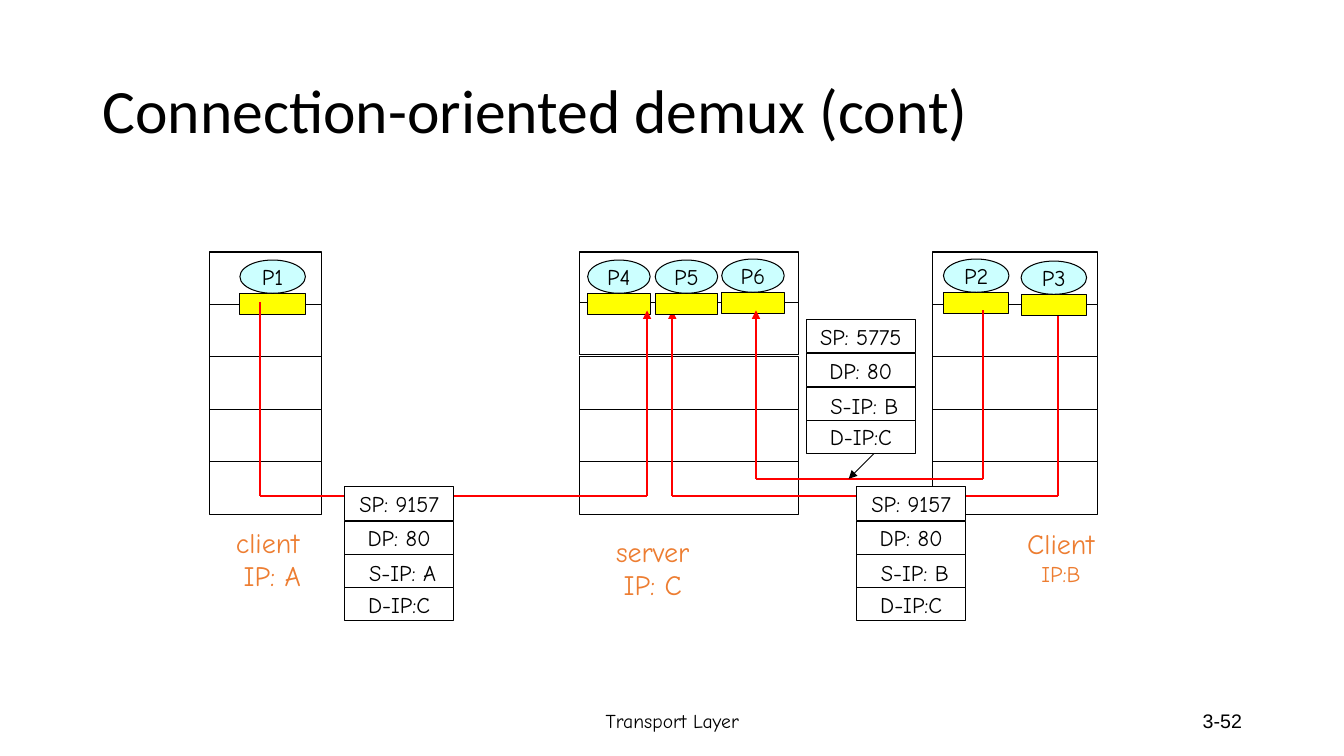
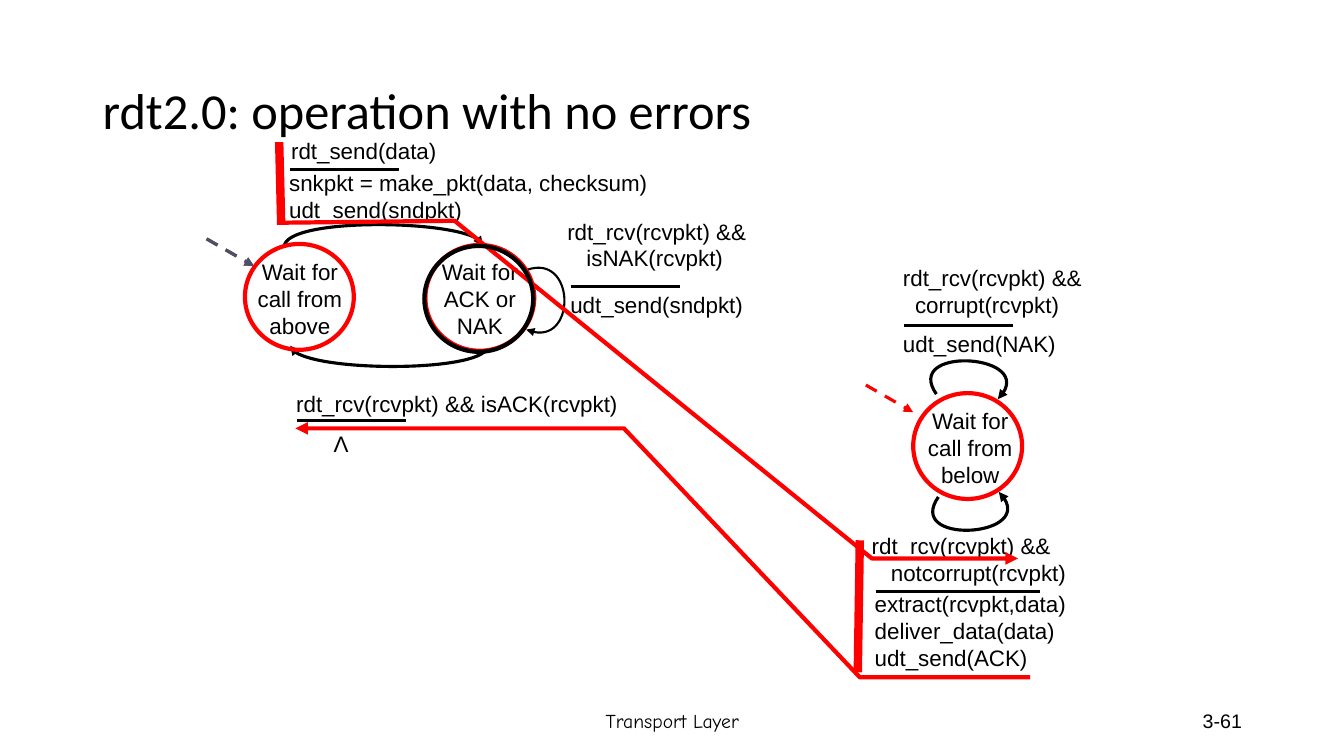
from pptx import Presentation
from pptx.dml.color import RGBColor
from pptx.enum.dml import MSO_LINE
from pptx.enum.shapes import MSO_CONNECTOR, MSO_SHAPE
from pptx.enum.text import MSO_ANCHOR, PP_ALIGN
from pptx.oxml.ns import qn
from pptx.util import Pt
from lxml.etree import SubElement

PX = 9144  # EMU per px, 100 px to the inch
COLORS = {
    "ink": "000000", "paper": "FFFFFF", "process": "CCFFFF", "socket": "FFFF00",
    "host": "ED7D31", "flow": "FF0000", "start": "44546A",
}
TITLE_FONT, BODY_FONT, HAND_FONT = "Calibri", "Arial", "Comic Neue"
LEFT, CENTER, RIGHT = PP_ALIGN.LEFT, PP_ALIGN.CENTER, PP_ALIGN.RIGHT
STATE_SIZE = (108, 105)
FIELD_OFFSETS = (0, 34, 67, 100)


def emu(*lengths):
    return [round(length * PX) for length in lengths]


def rgb(name):
    return RGBColor.from_string(COLORS[name])


# Text
def write(frame, lines, size, font=BODY_FONT, color="ink", align=LEFT,
          middle=False, wrap=True, indents=()):
    """Fill a text frame, one paragraph per line, with optional left indents."""
    frame.text = "\n".join(lines)
    frame.word_wrap = wrap
    frame.vertical_anchor = MSO_ANCHOR.MIDDLE if middle else MSO_ANCHOR.TOP
    for paragraph in frame.paragraphs:
        paragraph.alignment = align
        for run in paragraph.runs:
            run.font.size, run.font.name = Pt(size), font
            run.font.color.rgb = rgb(color)
    for paragraph, indent in zip(frame.paragraphs, indents):
        properties = paragraph._p.get_or_add_pPr()
        properties.set("marL", str(emu(indent)[0]))
        properties.set("indent", "0")


def label(slide, area, lines, size=16, **style):
    box = slide.shapes.add_textbox(*emu(*area))
    write(box.text_frame, lines, size, **style)
    return box.text_frame


# Shapes and lines
def block(slide, kind, area, fill=None, line="ink", width=0.75):
    shape = slide.shapes.add_shape(kind, *emu(*area))
    shape.shadow.inherit = False
    if fill:
        shape.fill.solid()
        shape.fill.fore_color.rgb = rgb(fill)
    else:
        shape.fill.background()
    shape.line.color.rgb, shape.line.width = rgb(line), Pt(width)
    return shape


def style_line(shape, color, width, arrow, dashed=False):
    shape.line.color.rgb, shape.line.width = rgb(color), Pt(width)
    if dashed:
        shape.line.dash_style = MSO_LINE.DASH
    if arrow:
        SubElement(shape.line._get_or_add_ln(), qn("a:tailEnd"), type="triangle")


def segment(slide, start, end, color="ink", width=2.25, arrow=False, dashed=False):
    line = slide.shapes.add_connector(MSO_CONNECTOR.STRAIGHT, *emu(*start, *end))
    style_line(line, color, width, arrow, dashed)
    SubElement(line._element.spPr, qn("a:effectLst"))


def route(slide, points, color="ink", width=2.25):
    """Draw an open outline through the points, with an arrow at its end."""
    first, *rest = [emu(*point) for point in points]
    builder = slide.shapes.build_freeform(*first)
    builder.add_line_segments(rest, close=False)
    outline = builder.convert_to_shape()
    outline.shadow.inherit = False
    outline.fill.background()
    style_line(outline, color, width, arrow=True)
    return outline


def curve(slide, controls, width=2.25):
    """Draw a cubic Bezier curve: its legs are merged into one curve command."""
    outline = route(slide, controls, width=width)
    legs = list(outline._element.iter(qn("a:lnTo")))
    bezier = SubElement(legs[0].getparent(), qn("a:cubicBezTo"))
    for leg in legs:
        bezier.append(leg[0])
        leg.getparent().remove(leg)


# Shared slide frame
def new_slide(deck, title, title_size, number):
    slide = deck.slides.add_slide(deck.slide_layouts[6])
    label(slide, (442, 695, 450, 40), ["Transport Layer"], 14,
          font=HAND_FONT, align=CENTER, middle=True)
    label(slide, (942, 695, 300, 40), [number], 14, align=RIGHT, middle=True)
    heading = label(slide, (92, 40, 1150, 145), [title], title_size,
                    font=TITLE_FONT, middle=True)
    heading.paragraphs[0].line_spacing = 0.9
    return slide


# Parts of the demultiplexing slide
def protocol_stack(slide, left, width, second_row=302):
    for top in (250, second_row, 354, 406, 458):
        block(slide, MSO_SHAPE.RECTANGLE, (left, top, width, 52), "paper")


def process(slide, name, left, top, width):
    block(slide, MSO_SHAPE.RECTANGLE, (left, top + 33, width, 21), "socket")
    bubble = block(slide, MSO_SHAPE.OVAL, (left, top, width, 33), "process")
    write(bubble.text_frame, [name], 16, font=HAND_FONT, align=CENTER,
          middle=True, wrap=False)


def packet(slide, left, top, source_port, source_ip):
    """Stack four header fields; the source address sits slightly off centre."""
    style = dict(size=16, font=HAND_FONT, align=CENTER, wrap=False)
    fields = (f"SP: {source_port}", "DP: 80", None, "D-IP:C")
    for offset, field in zip(FIELD_OFFSETS, fields):
        cell = block(slide, MSO_SHAPE.RECTANGLE, (left, top + offset, 108, 33), "paper")
        if field:
            write(cell.text_frame, [field], middle=True, **style)
    label(slide, (left + 9, top + FIELD_OFFSETS[2], 97, 37),
          [f"S-IP: {source_ip}"], **style)


def host_name(slide, area, lines):
    return label(slide, area, lines, 20, font=HAND_FONT, color="host",
                 align=CENTER, wrap=False)


def connection(slide, points):
    """Draw straight red legs, with an arrow on the last one."""
    legs = list(zip(points, points[1:]))
    for index, (start, end) in enumerate(legs, 1):
        segment(slide, start, end, "flow", 1.5, arrow=index == len(legs))


def build_demux(deck):
    slide = new_slide(deck, "Connection-oriented demux (cont)", 44, "3-52")

    # Hosts
    protocol_stack(slide, 208, 111)
    protocol_stack(slide, 575, 217, second_row=300)
    protocol_stack(slide, 925, 164)
    host_name(slide, (218, 516, 95, 77), ["client", " IP: A"])
    host_name(slide, (595, 525, 105, 77), ["server", "IP: C"])
    client_b = host_name(slide, (1005, 517, 95, 70), ["Client", "IP:B"])
    client_b.paragraphs[1].runs[0].font.size = Pt(16)

    # Processes and the connections between them
    process(slide, "P1", 238, 258, 65)
    process(slide, "P2", 936, 257, 65)
    process(slide, "P4", 583, 258, 62)
    connection(slide, [(258, 300), (258, 492), (642, 492), (642, 308)])
    connection(slide, [(1050, 300), (1050, 492), (667, 492), (667, 308)])
    process(slide, "P5", 650, 258, 62)
    process(slide, "P6", 716, 257, 62)
    process(slide, "P3", 1013, 259, 65)
    connection(slide, [(975, 308), (975, 475), (750, 475), (750, 308)])

    # Packets
    packet(slide, 342, 483, 9157, "A")
    packet(slide, 850, 483, 9157, "B")
    packet(slide, 800, 317, 5775, "B")
    segment(slide, (867, 450), (842, 475), width=0.75, arrow=True)


# Parts of the state machine slide
def state(slide, left, top, name, text_area):
    block(slide, MSO_SHAPE.OVAL, (left, top, *STATE_SIZE), "paper", width=1.5)
    label(slide, text_area, [name], align=CENTER)


def build_rdt(deck):
    slide = new_slide(deck, "rdt2.0: operation with no errors", 36, "3-61")

    # States and transitions
    state(slide, 243, 242, "Wait for call from above", (232, 251, 131, 67))
    for controls in (
        [(282, 244), (286, 216), (479, 218), (479, 244)],
        [(484, 343), (484, 369), (292, 370), (288, 343)],
        [(929, 391), (896, 344), (1034, 351), (990, 396)],
        [(931, 493), (898, 540), (1035, 533), (991, 488)],
    ):
        curve(slide, controls)
    curve(slide, [(522, 268), (570, 250), (573, 348), (522, 327)], width=1.5)
    state(slide, 422, 243, "Wait for ACK or NAK", (417, 251, 118, 67))
    state(slide, 906, 390, "Wait for call from below", (897, 399, 131, 67))

    # Events and actions: left, top, width, height, lines, indents
    for *area, lines, indents in (
        (279, 131, 247, 47, ["rdt_send(data)"], ()),
        (277, 163, 398, 44,
         ["snkpkt = make_pkt(data, checksum)", "udt_send(sndpkt)"], ()),
        (553, 211, 228, 69, ["rdt_rcv(rcvpkt) &&", "isNAK(rcvpkt)"], (0, 19)),
        (556, 284, 193, 44, ["udt_send(sndpkt)"], ()),
        (284, 382, 388, 31, ["rdt_rcv(rcvpkt) && isACK(rcvpkt)"], ()),
        (886, 257, 210, 34, ["rdt_rcv(rcvpkt) &&", "corrupt(rcvpkt)"], (0, 12)),
        (886, 323, 200, 28, ["udt_send(NAK)"], ()),
        (855, 523, 236, 77, ["rdt_rcv(rcvpkt) &&", "notcorrupt(rcvpkt)"], (0, 19)),
        (858, 581, 234, 68,
         ["extract(rcvpkt,data)", "deliver_data(data)", "udt_send(ACK)"], ()),
    ):
        label(slide, area, lines, indents=indents)
    label(slide, (321, 422, 35, 37), ["Λ"], align=CENTER, wrap=False)

    # Rules between event and action
    for left, top, width in ((288, 168, 108), (295, 417, 108), (566, 284, 109),
                             (897, 323, 108), (869, 587, 163)):
        segment(slide, (left, top), (left + width, top))

    # Initial-state arrows, the sender's in two layers
    for left, top, color in ((205, 237, "flow"), (205, 237, "start"),
                             (859, 382, "flow")):
        segment(slide, (left, top), (left + 47, top + 27), color,
                arrow=True, dashed=True)

    # Path of the data packet and of its acknowledgement
    segment(slide, (277, 141), (279, 223), "flow", 6)
    segment(slide, (853, 536), (851, 667), "flow", 6)
    route(slide, [(277, 221), (451, 219), (865, 554), (1010, 554)], "flow", 3)
    route(slide, [(1022, 672), (853, 672), (619, 425), (293, 425)], "flow", 3)

    # State rings, black over red on the waiting sender
    for left, top, ring in ((243, 242, "flow"), (422, 243, "flow"),
                            (421, 244, "ink"), (906, 390, "flow")):
        block(slide, MSO_SHAPE.OVAL, (left, top, *STATE_SIZE), line=ring, width=3)


def main():
    deck = Presentation()
    deck.slide_width, deck.slide_height = emu(4000 / 3, 750)
    build_demux(deck)
    build_rdt(deck)
    deck.save("out.pptx")


if __name__ == "__main__":
    main()
